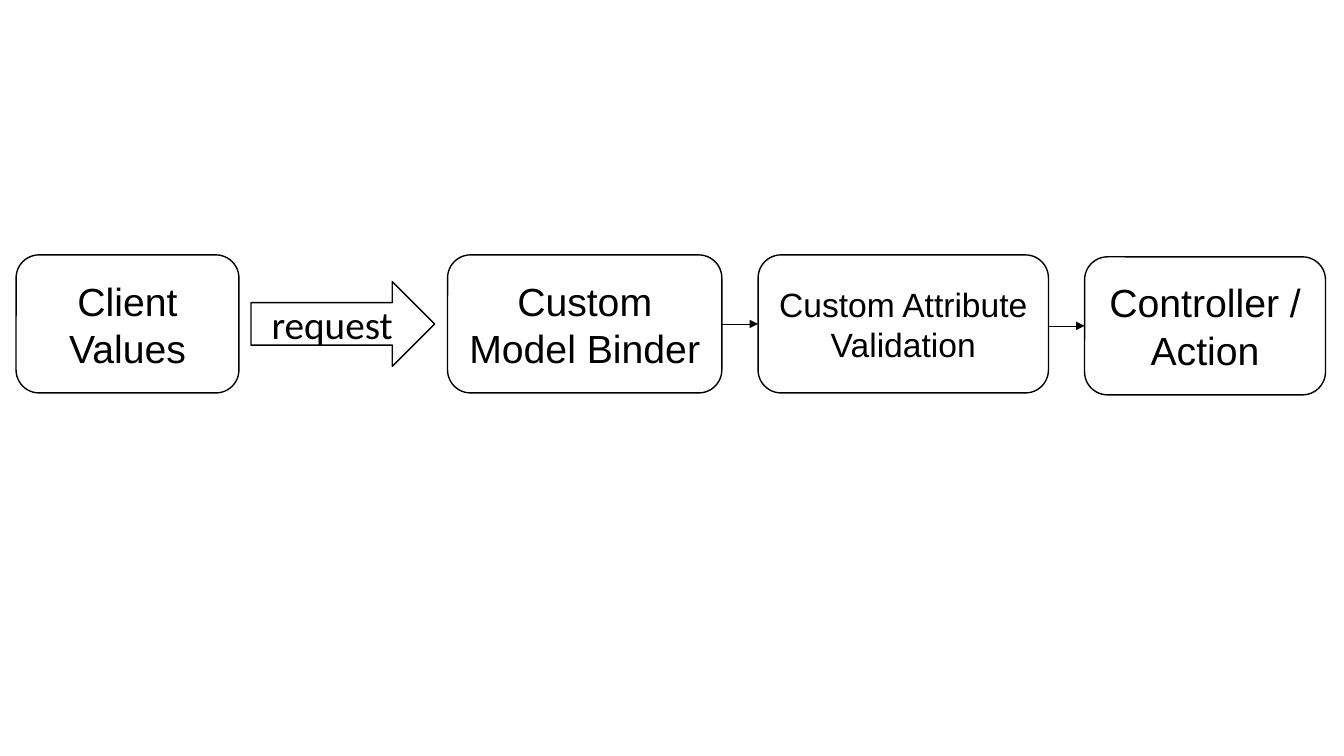
import dataclasses
import pptx
import pptx.dml.color
import pptx.enum.shapes
import pptx.enum.text
import pptx.oxml
import pptx.oxml.ns
import pptx.util

Pt = pptx.util.Pt
SHAPES = pptx.enum.shapes.MSO_SHAPE


@dataclasses.dataclass(frozen=True)
class Theme:
    ink: pptx.dml.color.RGBColor = pptx.dml.color.RGBColor(0, 0, 0)
    paper: pptx.dml.color.RGBColor = pptx.dml.color.RGBColor(255, 255, 255)
    step_font: str = "Arial"
    request_font: str = "Calibri"
    large: float = 28
    medium: float = 24
    outline: float = 1
    link: float = 0.5


THEME = Theme()


def write(shape, text, font=THEME.step_font, size=THEME.large):
    frame = shape.text_frame
    frame.word_wrap = True
    frame.vertical_anchor = pptx.enum.text.MSO_ANCHOR.MIDDLE
    paragraph = frame.paragraphs[0]
    paragraph.alignment = pptx.enum.text.PP_ALIGN.CENTER
    run = paragraph.add_run()
    run.text = text
    run.font.name = font
    run.font.size = Pt(size)
    run.font.color.rgb = THEME.ink


def add_stage(slide, preset, box, text, **text_format):
    stage = slide.shapes.add_shape(preset, *map(Pt, box))
    stage.shadow.inherit = False
    stage.fill.solid()
    stage.fill.fore_color.rgb = THEME.paper
    stage.line.color.rgb = THEME.ink
    stage.line.width = Pt(THEME.outline)
    write(stage, text, **text_format)
    return stage


def link_stages(slide, source, target):
    middle = target.top + target.height // 2
    link = slide.shapes.add_connector(
        pptx.enum.shapes.MSO_CONNECTOR.STRAIGHT,
        source.left + source.width, middle, target.left, middle)
    link.end_connect(target, 1)
    link.line.color.rgb = THEME.ink
    link.line.width = Pt(THEME.link)
    arrowhead = pptx.oxml.parse_xml(
        f'<a:tailEnd {pptx.oxml.ns.nsdecls("a")} type="triangle"/>')
    link.line._get_or_add_ln().append(arrowhead)
    link._element.spPr.append(
        pptx.oxml.parse_xml(f'<a:effectLst {pptx.oxml.ns.nsdecls("a")}/>'))


def draw_pipeline(slide, box):
    left, top, width, height = box
    stages = [
        (SHAPES.ROUNDED_RECTANGLE, 0, 0, 159.2, height, "Client Values", {}),
        (SHAPES.RIGHT_ARROW, 167.8, 19, 131.2, 60.6, "request",
         {"font": THEME.request_font}),
        (SHAPES.ROUNDED_RECTANGLE, 308.2, 0, 195.9, height,
         "Custom Model Binder", {}),
        (SHAPES.ROUNDED_RECTANGLE, 530, 0, 207.4, height,
         "Custom Attribute Validation", {"size": THEME.medium}),
        (SHAPES.ROUNDED_RECTANGLE, width - 172.1, 1.4, 172.1, height,
         "Controller / Action", {}),
    ]
    client, request, binder, validation, controller = [
        add_stage(slide, preset, (left + x, top + y, w, h), text, **text_format)
        for preset, x, y, w, h, text, text_format in stages]
    for source, target in ((binder, validation), (validation, controller)):
        link_stages(slide, source, target)


deck = pptx.Presentation()
deck.slide_width, deck.slide_height = Pt(960), Pt(540)
binding_slide = deck.slides.add_slide(deck.slide_layouts[6])
binding_slide.background.fill.solid()
binding_slide.background.fill.fore_color.rgb = THEME.paper
draw_pipeline(binding_slide, (11.5, 182.1, 935.3, 98.6))
deck.save("out.pptx")
